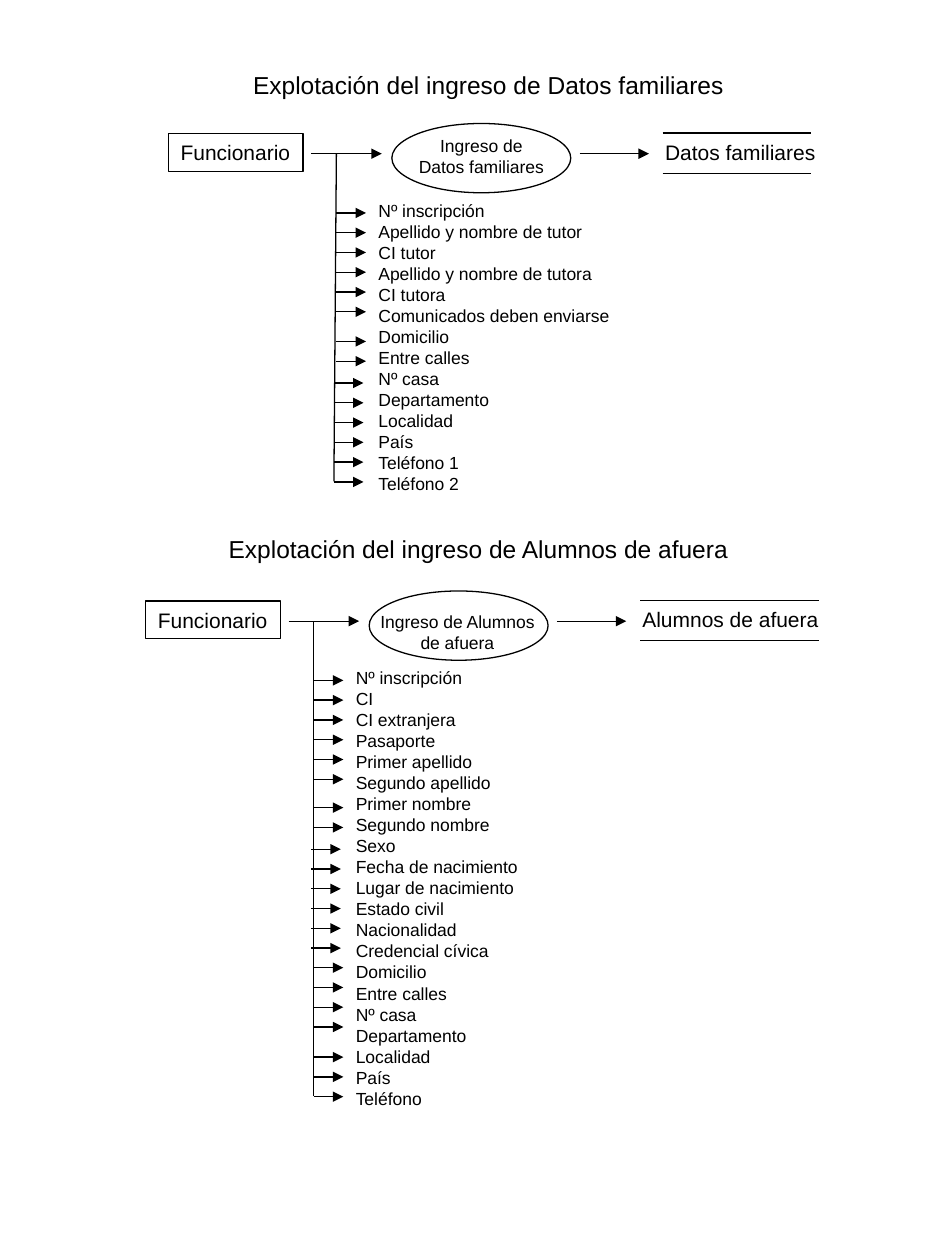
from lxml.etree import SubElement
from pptx import Presentation
from pptx.dml.color import RGBColor
from pptx.enum.shapes import MSO_CONNECTOR, MSO_SHAPE
from pptx.enum.text import MSO_ANCHOR, PP_ALIGN
from pptx.oxml.ns import qn
from pptx.util import Inches, Pt

BLACK = RGBColor(0, 0, 0)
FONT = "Arial"
COLUMNS, ROWS = 750, 1000
WIDTH, HEIGHT = Inches(7.5), Inches(10)
ARROW_STEP, ARROW_LENGTH = 15.7, 23.5

FAMILY_FIELDS = [
    "Nº inscripción", "Apellido y nombre de tutor", "CI tutor",
    "Apellido y nombre de tutora", "CI tutora", "Comunicados deben enviarse",
    "Domicilio", "Entre calles", "Nº casa", "Departamento", "Localidad",
    "País", "Teléfono 1", "Teléfono 2",
]
STUDENT_FIELDS = [
    "Nº inscripción", "CI", "CI extranjera", "Pasaporte", "Primer apellido",
    "Segundo apellido", "Primer nombre", "Segundo nombre", "Sexo",
    "Fecha de nacimiento", "Lugar de nacimiento", "Estado civil",
    "Nacionalidad", "Credencial cívica", "Domicilio", "Entre calles",
    "Nº casa", "Departamento", "Localidad", "País", "Teléfono",
]
FAMILY_ARROWS = [(0, 47, 6), (0, 149, 2), (-2, 182, 6)]
STUDENT_ARROWS = [(0, 47, 6), (0, 148, 2), (-2, 181, 6), (0, 275, 4), (0, 346, 3)]


def col(n):
    return round(WIDTH * n / COLUMNS)


def row(n):
    return round(HEIGHT * n / ROWS)


def box(x, y, w, h):
    return col(x), row(y), col(w), row(h)


def write(s, text, size, align=PP_ALIGN.LEFT, wrap=True):
    tf = s.text_frame
    tf.word_wrap = wrap
    tf.vertical_anchor = MSO_ANCHOR.TOP
    tf.text = text
    for p in tf.paragraphs:
        p.alignment = align
        for r in p.runs:
            r.font.name = FONT
            r.font.size = Pt(size)
            r.font.color.rgb = BLACK


def add_text(shapes, area, text, size, align=PP_ALIGN.LEFT):
    write(shapes.add_textbox(*box(*area)), text, size, align)


def add_outline(shapes, kind, area):
    s = shapes.add_shape(kind, *box(*area))
    s.shadow.inherit = False
    s.fill.background()
    s.line.color.rgb = BLACK
    s.line.width = Pt(0.75)
    return s


def add_line(shapes, x1, y1, x2, y2, arrow=False):
    s = shapes.add_connector(MSO_CONNECTOR.STRAIGHT, col(x1), row(y1), col(x2), row(y2))
    s.line.color.rgb = BLACK
    s.line.width = Pt(0.75)
    if arrow:
        SubElement(s.line._get_or_add_ln(), qn("a:tailEnd"), type="triangle")
    SubElement(s._element.spPr, qn("a:effectLst"))


def add_flow(shapes, x, y, process, process_area, store, store_width):
    actor = add_outline(shapes, MSO_SHAPE.RECTANGLE, (x - 133.5, y - 16, 107, 30))
    write(actor, "Funcionario", 12, wrap=False)
    add_line(shapes, x - 20, y, x + 36, y, arrow=True)
    add_outline(shapes, MSO_SHAPE.OVAL, (x + 44, y - 24, 142, 55))
    add_text(shapes, process_area, process, 10, PP_ALIGN.CENTER)
    add_line(shapes, x + 193, y, x + 248, y, arrow=True)
    add_text(shapes, (x + 251, y - 16.5, store_width + 25, 30), store, 12)
    for edge in (y - 16.5, y + 15.5):
        add_line(shapes, x + 259, edge, x + 259 + store_width, edge)


def add_fields(shapes, x, y, fields, arrow_runs, trunk_end):
    add_line(shapes, x, y, *trunk_end)
    for dx, dy, count in arrow_runs:
        for i in range(count):
            level = y + dy + i * ARROW_STEP
            add_line(shapes, x + dx, level, x + dx + ARROW_LENGTH, level, arrow=True)
    height = 10 + 16.7 * len(fields)
    add_text(shapes, (x + 23.5, y + 31.5, 211, height), "\n".join(fields), 10)


def main():
    prs = Presentation()
    prs.slide_width, prs.slide_height = WIDTH, HEIGHT
    shapes = prs.slides.add_slide(prs.slide_layouts[6]).shapes

    add_text(shapes, (170, 51, 441, 34),
             "Explotación del ingreso de Datos familiares ", 14, PP_ALIGN.CENTER)
    add_flow(shapes, 267, 122, "Ingreso de Datos familiares", (320, 102, 124, 44),
             "Datos familiares", 118)
    add_fields(shapes, 267, 122, FAMILY_FIELDS, FAMILY_ARROWS, (265, 382))

    add_text(shapes, (170, 419, 425, 34),
             "Explotación del ingreso de Alumnos de afuera ", 14, PP_ALIGN.CENTER)
    add_flow(shapes, 249, 493, "Ingreso de Alumnos de afuera", (288, 480, 150, 44),
             "Alumnos de afuera", 142)
    add_fields(shapes, 249, 493, STUDENT_FIELDS, STUDENT_ARROWS, (249, 870))

    prs.save("out.pptx")


if __name__ == "__main__":
    main()
